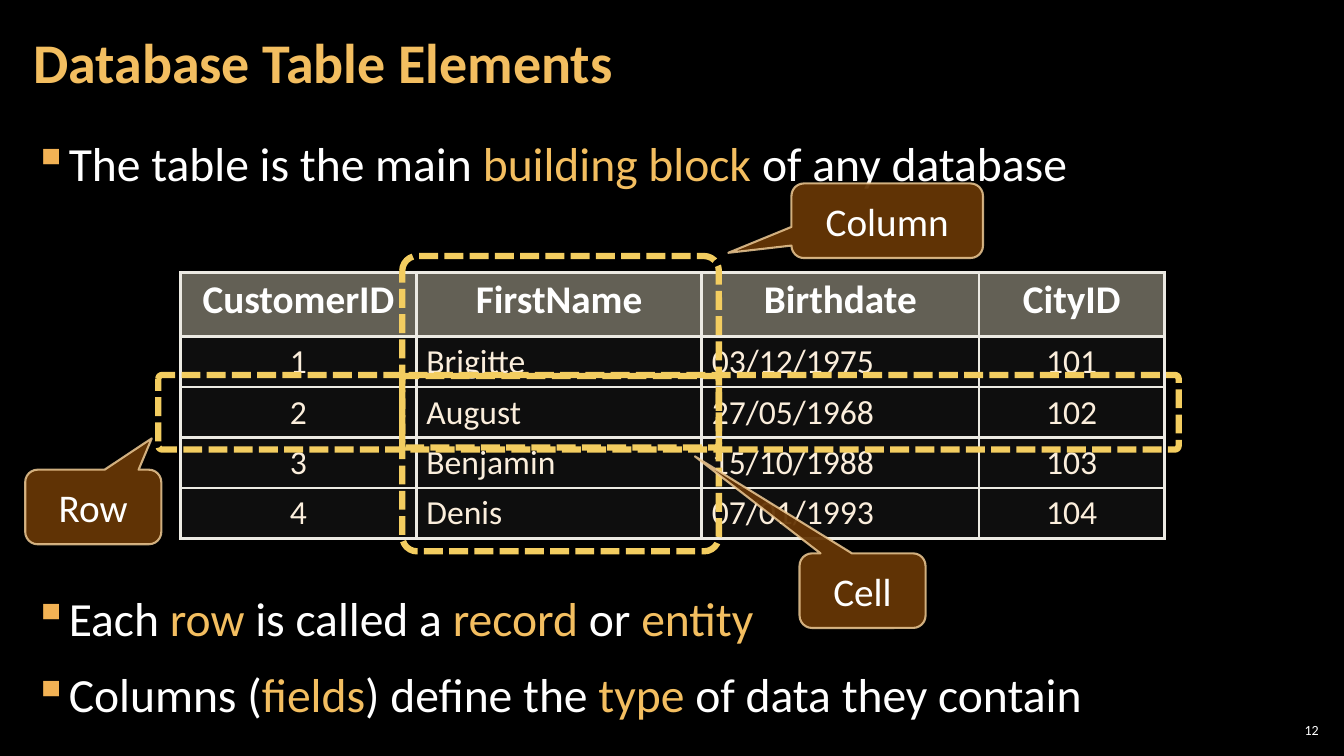
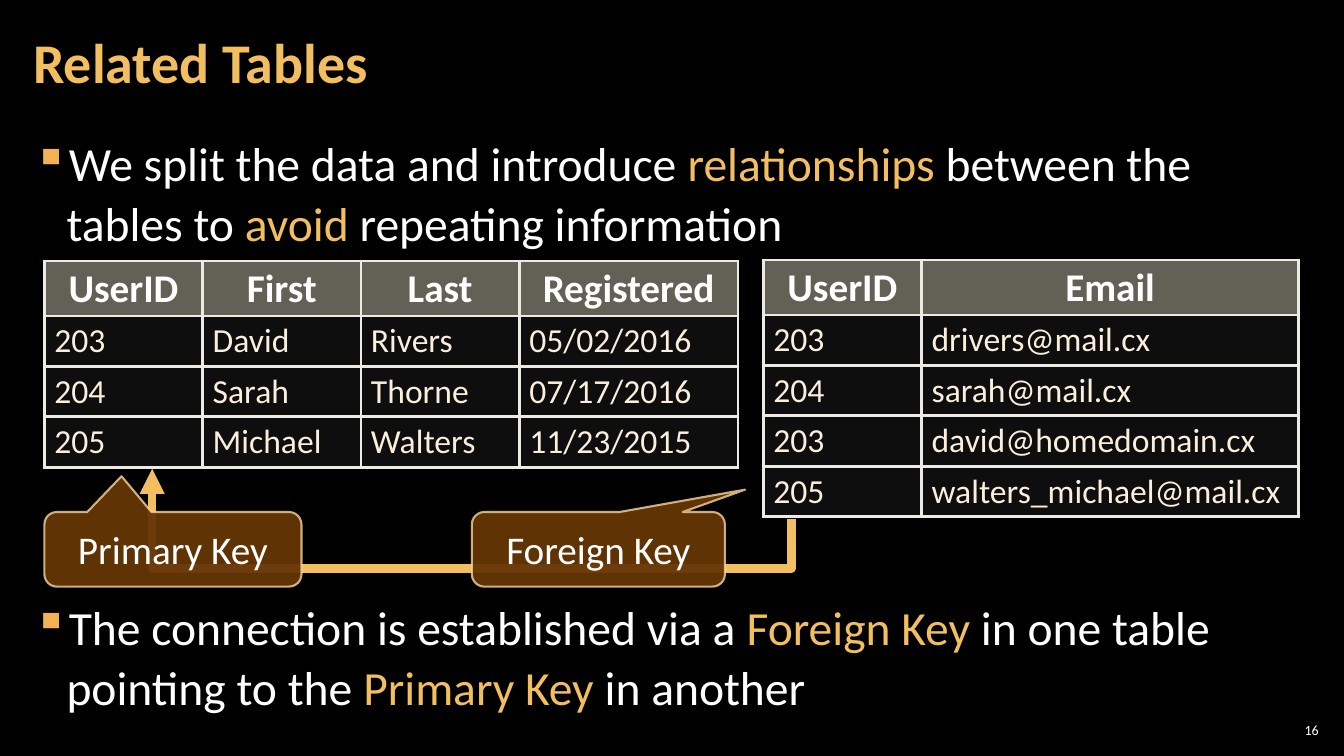
import dataclasses

import lxml.etree
import pptx
import pptx.dml.color
import pptx.enum.dml
import pptx.enum.shapes
import pptx.enum.text
import pptx.oxml.ns
import pptx.presentation
import pptx.shapes.autoshape
import pptx.slide
import pptx.text.text
import pptx.util

RGB = pptx.dml.color.RGBColor
ALIGN = pptx.enum.text.PP_ALIGN
ANCHOR = pptx.enum.text.MSO_ANCHOR
SHAPE = pptx.enum.shapes.MSO_SHAPE

EMU_PER_PX = 9144
FONT = "Calibri"
BLACK = RGB(0x00, 0x00, 0x00)
WHITE = RGB(0xFF, 0xFF, 0xFF)
ACCENT = RGB(0xF3, 0xBE, 0x60)
BULLET = RGB(0xF2, 0xB2, 0x54)
HEADER_FILL = RGB(0xC6, 0xC0, 0xAA)
BODY_FILL = RGB(0x46, 0x48, 0x48)
BODY_TEXT = RGB(0xFB, 0xEE, 0xDC)
GRID = RGB(0xEC, 0xEA, 0xE3)
CALLOUT_FILL = RGB(0x66, 0x36, 0x06)
CALLOUT_LINE = RGB(0xF8, 0xD4, 0x9E)
HIGHLIGHT = RGB(0xF3, 0xCD, 0x60)
ROW_HEIGHT = 50
CALLOUT_HEIGHT = 74


@dataclasses.dataclass(frozen=True)
class Box:
    left: int
    top: int
    width: int
    height: int

    def emu(self) -> list[int]:
        return [px(side) for side in dataclasses.astuple(self)]


@dataclasses.dataclass(frozen=True)
class Bullet:
    text: str
    space_before: int = 6


@dataclasses.dataclass(frozen=True)
class Callout:
    label: str
    left: int
    top: int
    width: int
    tip_x: float
    tip_y: float


@dataclasses.dataclass(frozen=True)
class DataTable:
    left: int
    top: int
    header_height: int
    columns: tuple[int, ...]
    rows: tuple[tuple[str, ...], ...]
    centered: tuple[int, ...] = ()


def px(length: int) -> int:
    return pptx.util.Emu(length * EMU_PER_PX)


def add_xml(parent, tag: str, **attributes: str):
    return lxml.etree.SubElement(parent, pptx.oxml.ns.qn(tag), attributes)


def set_alpha(parent, percent: int) -> None:
    color = parent.find("/".join(map(pptx.oxml.ns.qn, ("a:solidFill", "a:srgbClr"))))
    add_xml(color, "a:alpha", val=str(percent * 1000))


def write_text(
    frame: pptx.text.text.TextFrame,
    text: str,
    *,
    size: int,
    color: RGB = WHITE,
    bold: bool = False,
    align: ALIGN = ALIGN.LEFT,
    line_spacing: float = 1.0,
    space_before: int = 0,
    space_after: int = 0,
    bulleted: bool = False,
) -> None:
    paragraph = frame.paragraphs[0]
    if paragraph.runs:
        paragraph = frame.add_paragraph()
    paragraph.alignment = align
    paragraph.line_spacing = line_spacing
    paragraph.space_before = pptx.util.Pt(space_before)
    paragraph.space_after = pptx.util.Pt(space_after)
    if bulleted:
        properties = paragraph._p.get_or_add_pPr()
        properties.set("marL", str(px(33)))
        properties.set("indent", str(-px(33)))
        add_xml(add_xml(properties, "a:buClr"), "a:srgbClr", val=str(BULLET))
        add_xml(properties, "a:buChar", char="▪")
    for index, part in enumerate(text.split("*")):
        if part:
            run = paragraph.add_run()
            run.text = part
            run.font.name = FONT
            run.font.size = pptx.util.Pt(size)
            run.font.bold = bold
            run.font.color.rgb = ACCENT if index % 2 else color


def set_insets(target, horizontal: int, vertical: int) -> None:
    target.margin_left = target.margin_right = px(horizontal)
    target.margin_top = target.margin_bottom = px(vertical)


def add_text_area(
    slide: pptx.slide.Slide, box: Box, inset: int, anchor: ANCHOR
) -> pptx.text.text.TextFrame:
    frame = slide.shapes.add_textbox(*box.emu()).text_frame
    frame.word_wrap = True
    frame.vertical_anchor = anchor
    set_insets(frame, inset, 4)
    return frame


def add_content_slide(
    deck: pptx.presentation.Presentation,
    title: str,
    number: int,
    bullets: tuple[Bullet, ...],
) -> pptx.slide.Slide:
    slide = deck.slides.add_slide(deck.slide_layouts[6])
    slide.background.fill.solid()
    slide.background.fill.fore_color.rgb = BLACK
    page = add_text_area(slide, Box(1265, 714, 47, 21), 4, ANCHOR.MIDDLE)
    write_text(page, str(number), size=10, align=ALIGN.RIGHT)
    body = add_text_area(slide, Box(21, 126, 1291, 609), 12, ANCHOR.TOP)
    for bullet in bullets:
        write_text(
            body, bullet.text, size=34, line_spacing=1.05,
            space_before=bullet.space_before, space_after=6, bulleted=True,
        )
    heading = add_text_area(slide, Box(21, 4, 1047, 121), 12, ANCHOR.MIDDLE)
    write_text(heading, title, size=40, color=ACCENT, bold=True, line_spacing=0.9)
    return slide


def style_cell(cell, fill: RGB, alpha: int) -> None:
    cell.fill.solid()
    cell.fill.fore_color.rgb = fill
    properties = cell._tc.get_or_add_tcPr()
    set_alpha(properties, alpha)
    for position, side in enumerate("LRTB"):
        border = add_xml(properties, f"a:ln{side}", w=str(pptx.util.Pt(2.25)))
        add_xml(add_xml(border, "a:solidFill"), "a:srgbClr", val=str(GRID))
        properties.insert(position, border)


def add_data_table(slide: pptx.slide.Slide, data: DataTable) -> None:
    heights = [data.header_height] + [ROW_HEIGHT] * (len(data.rows) - 1)
    box = Box(data.left, data.top, sum(data.columns), sum(heights))
    table = slide.shapes.add_table(len(heights), len(data.columns), *box.emu()).table
    table.horz_banding = False
    for column, width in zip(table.columns, data.columns):
        column.width = px(width)
    for row_index, (values, height) in enumerate(zip(data.rows, heights)):
        table.rows[row_index].height = px(height)
        is_header = row_index == 0
        for column_index, value in enumerate(values):
            cell = table.cell(row_index, column_index)
            style_cell(cell, *((HEADER_FILL, 50) if is_header else (BODY_FILL, 20)))
            set_insets(cell, 17 if is_header else 10, 5)
            is_centered = is_header or column_index in data.centered
            write_text(
                cell.text_frame, value,
                size=28 if is_header else 24,
                color=WHITE if is_header else BODY_TEXT,
                bold=is_header,
                align=ALIGN.CENTER if is_centered else ALIGN.LEFT,
                line_spacing=0.95 if is_header else 1.0,
            )


def add_outlined_shape(
    slide: pptx.slide.Slide, kind: SHAPE, box: Box, color: RGB, weight: float
) -> pptx.shapes.autoshape.Shape:
    shape = slide.shapes.add_shape(kind, *box.emu())
    shape.shadow.inherit = False
    shape.line.color.rgb = color
    shape.line.width = pptx.util.Pt(weight)
    return shape


def add_highlight(slide: pptx.slide.Slide, box: Box) -> None:
    frame = add_outlined_shape(slide, SHAPE.ROUNDED_RECTANGLE, box, HIGHLIGHT, 4.5)
    frame.adjustments[0] = 0.05
    frame.fill.background()
    frame.line.dash_style = pptx.enum.dml.MSO_LINE.SQUARE_DOT


def add_callout(slide: pptx.slide.Slide, callout: Callout) -> None:
    box = Box(callout.left, callout.top, callout.width, CALLOUT_HEIGHT)
    bubble = add_outlined_shape(
        slide, SHAPE.ROUNDED_RECTANGULAR_CALLOUT, box, CALLOUT_LINE, 1.5
    )
    bubble.adjustments[0] = callout.tip_x
    bubble.adjustments[1] = callout.tip_y
    bubble.fill.solid()
    bubble.fill.fore_color.rgb = CALLOUT_FILL
    set_alpha(bubble.element.spPr, 95)
    set_alpha(bubble.line._ln, 80)
    frame = bubble.text_frame
    frame.word_wrap = False
    frame.vertical_anchor = ANCHOR.MIDDLE
    set_insets(frame, 30, 10)
    write_text(frame, callout.label, size=28, align=ALIGN.CENTER)


def add_key_link(slide: pptx.slide.Slide) -> None:
    link = slide.shapes.add_connector(
        pptx.enum.shapes.MSO_CONNECTOR.ELBOW, px(493), px(173), px(443), px(807)
    )
    link.line.color.rgb = ACCENT
    link.line.width = pptx.util.Pt(6)
    add_xml(link.line._ln, "a:tailEnd", type="triangle")
    properties = link.element.spPr
    add_xml(properties, "a:effectLst")
    properties.find(pptx.oxml.ns.qn("a:xfrm")).set("rot", "5400000")
    guides = properties.find(".//" + pptx.oxml.ns.qn("a:avLst"))
    add_xml(guides, "a:gd", name="adj1", fmla="val -98300")


def build_table_elements(deck: pptx.presentation.Presentation) -> None:
    slide = add_content_slide(deck, "Database Table Elements", 12, (
        Bullet("The table is the main *building block *of any database"),
        Bullet("Each *row* is called a *record *or* entity*", 276),
        Bullet("Columns (*fields*) define the *type* of data they contain"),
    ))
    add_data_table(slide, DataTable(179, 270, 64, (234, 283, 275, 184), (
        ("CustomerID", "FirstName", "Birthdate", "CityID"),
        ("1", "Brigitte", "03/12/1975", "101"),
        ("2", "August", "27/05/1968", "102"),
        ("3", "Benjamin", "15/10/1988", "103"),
        ("4", "Denis", "07/01/1993", "104"),
    ), centered=(0, 3)))
    add_callout(slide, Callout("Row", 25, 466, 135, 0.43, -0.92))
    add_highlight(slide, Box(157, 372, 1012, 74))
    add_highlight(slide, Box(399, 254, 314, 293))
    add_callout(slide, Callout("Column", 785, 182, 190, -0.83, 0.43))
    add_highlight(slide, Box(399, 373, 314, 71))
    add_callout(slide, Callout("Cell", 793, 549, 125, -1.33, -1.8))


def build_related_tables(deck: pptx.presentation.Presentation) -> None:
    slide = add_content_slide(deck, "Related Tables", 16, (
        Bullet("We split the data and introduce *relationships* between the "
               "tables to *avoid* repeating information"),
        Bullet("The connection is established via a *Foreign Key *in one table "
               "pointing to the *Primary Key *in another", 240),
    ))
    add_key_link(slide)
    add_data_table(slide, DataTable(44, 259, 54, (157, 157, 157, 217), (
        ("UserID", "First", "Last", "Registered"),
        ("203", "David", "Rivers", "05/02/2016"),
        ("204", "Sarah", "Thorne", "07/17/2016"),
        ("205", "Michael", "Walters", "11/23/2015"),
    )))
    add_data_table(slide, DataTable(757, 258, 54, (157, 374), (
        ("UserID", "Email"),
        ("203", "drivers@mail.cx"),
        ("204", "sarah@mail.cx"),
        ("203", "david@homedomain.cx"),
        ("205", "walters_michael@mail.cx"),
    )))
    add_callout(slide, Callout("Primary Key", 44, 508, 255, -0.2, -0.98))
    add_callout(slide, Callout("Foreign Key", 468, 508, 251, 0.58, -0.8))


def main() -> None:
    deck = pptx.Presentation()
    deck.slide_width, deck.slide_height = px(1333), px(750)
    build_table_elements(deck)
    build_related_tables(deck)
    deck.save("out.pptx")


if __name__ == "__main__":
    main()
